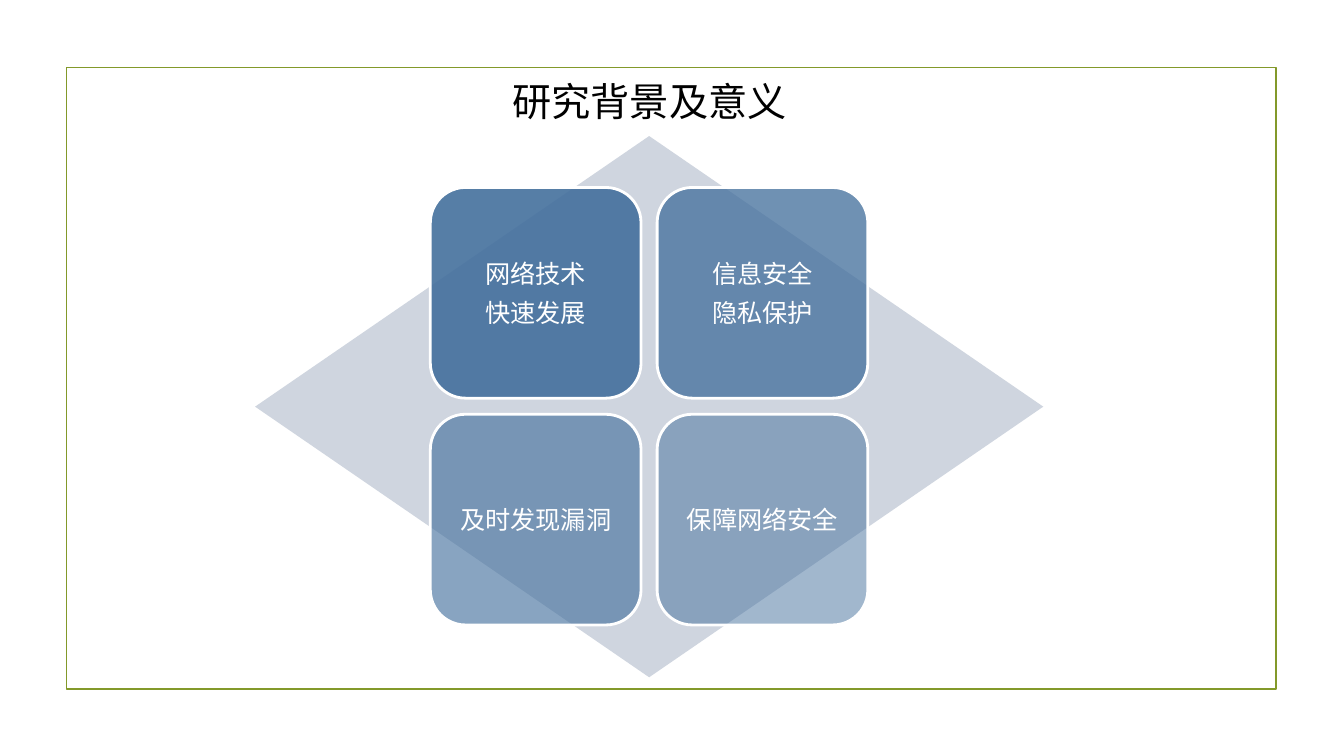
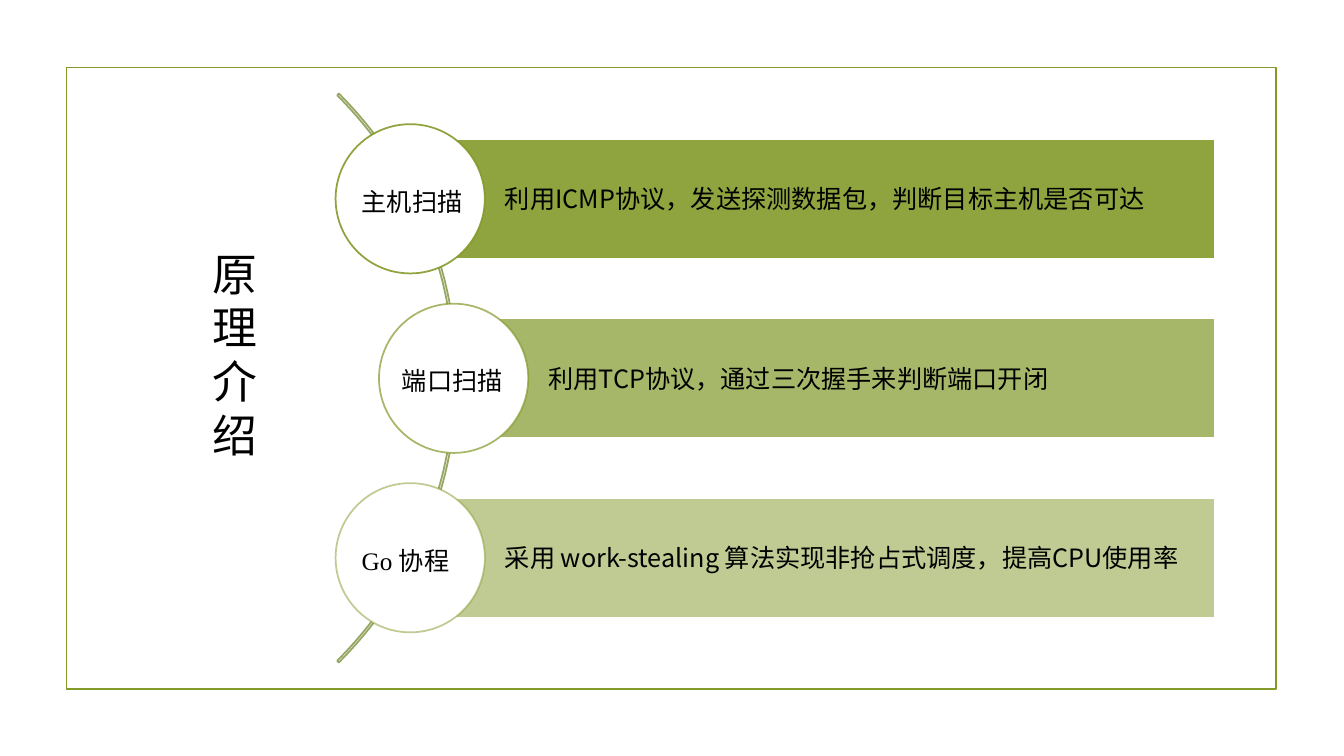
import pptx
import pptx.dml.color
import pptx.enum.shapes
import pptx.enum.text
import pptx.oxml.ns
import pptx.util
from lxml import etree

Pt = pptx.util.Pt
SHAPE = pptx.enum.shapes.MSO_SHAPE
ALIGN = pptx.enum.text.PP_ALIGN
ANCHOR = pptx.enum.text.MSO_ANCHOR
qn = pptx.oxml.ns.qn

SANS, SERIF = "Noto Sans CJK SC", "Times New Roman"
BLACK, WHITE = "000000", "FFFFFF"
OLIVE, SAGE, BLUE, MIST = "83992A", "96A763", "44709D", "CFD5DF"


def rgb(hex_code):
    return pptx.dml.color.RGBColor.from_string(hex_code)


class Deck:
    """Shared style plus the slide being built; all lengths are points."""

    def __init__(self):
        self.prs = pptx.Presentation()
        self.prs.slide_width, self.prs.slide_height = Pt(960), Pt(540)
        self.slide = None

    def new_slide(self):
        self.slide = self.prs.slides.add_slide(self.prs.slide_layouts[6])
        self.shape(SHAPE.RECTANGLE, 47.5, 48.2, 864, 444.2, line=OLIVE)

    def shape(self, preset, left, top, width, height, fill=None, line=None,
              line_width=1.25, fill_opacity=100, line_opacity=100):
        shape = self.slide.shapes.add_shape(
            preset, Pt(left), Pt(top), Pt(width), Pt(height))
        shape.shadow.inherit = False
        if fill:
            shape.fill.solid()
            shape.fill.fore_color.rgb = rgb(fill)
            self.fade(shape, "", fill_opacity)
        else:
            shape.fill.background()
        if line:
            shape.line.color.rgb = rgb(line)
            shape.line.width = Pt(line_width)
            self.fade(shape, qn("a:ln") + "/", line_opacity)
        else:
            shape.line.fill.background()
        return shape

    def fade(self, shape, parent, opacity):
        """Set the opacity, in percent, of a fill or line colour."""
        if opacity < 100:
            color = shape._element.spPr.find(
                parent + qn("a:solidFill") + "/" + qn("a:srgbClr"))
            etree.SubElement(color, qn("a:alpha"), val=str(opacity * 1000))

    def set_text(self, shape, text, size, font, color=BLACK, align=ALIGN.LEFT,
                 space_after=0, insets=(7.2, 3.6, 7.2, 3.6), anchor=ANCHOR.MIDDLE):
        frame = shape.text_frame
        frame.text = text
        frame.word_wrap = True
        frame.vertical_anchor = anchor
        (frame.margin_left, frame.margin_top,
         frame.margin_right, frame.margin_bottom) = map(Pt, insets)
        for paragraph in frame.paragraphs:
            paragraph.alignment = align
            paragraph.line_spacing = Pt(size * 1.2)
            paragraph.space_after = Pt(space_after)
            for run in paragraph.runs:
                run.font.size = Pt(size)
                run.font.color.rgb = rgb(color)
                run.font.name = font
                etree.SubElement(run._r.get_or_add_rPr(), qn("a:ea"), typeface=SANS)

    def label(self, text, left, top, width, height, size, font=SERIF, align=ALIGN.LEFT):
        box = self.slide.shapes.add_textbox(Pt(left), Pt(top), Pt(width), Pt(height))
        self.set_text(box, text, size, font, align=align, anchor=ANCHOR.TOP)


def background_slide(deck):
    deck.new_slide()
    deck.label("研究背景及意义", 350.6, 51.5, 226.8, 41, 28, SANS, ALIGN.CENTER)
    deck.shape(SHAPE.DIAMOND, 182.2, 97.2, 563, 386.6, fill=MIST)
    reasons = [("网络技术\n快速发展", 90), ("信息安全\n隐私保护", 77),
               ("及时发现漏洞", 63), ("保障网络安全", 50)]
    for index, (reason, opacity) in enumerate(reasons):
        row, column = divmod(index, 2)
        tile = deck.shape(SHAPE.ROUNDED_RECTANGLE, 307.4 + 162 * column,
                          133.9 + 162 * row, 150.5, 150.5, fill=BLUE,
                          line=WHITE, line_width=2, fill_opacity=opacity)
        deck.set_text(tile, reason, 18, SERIF, WHITE, ALIGN.CENTER,
                      space_after=6.3, insets=(5, 5, 5, 5))


def principle_slide(deck):
    deck.new_slide()
    arc = deck.shape(SHAPE.BLOCK_ARC, -248.4, -17.3, 574.6, 574.6, line=SAGE)
    for index, value in enumerate((189, 27, 0.003)):
        arc.adjustments[index] = value
    bar_height, circle_size, right_edge = 85.7, 106.6, 867.6
    steps = [
        ("主机扫描", "利用ICMP协议，发送探测数据包，判断目标主机是否可达", 293, 251.3, 90),
        ("端口扫描", "利用TCP协议，通过三次握手来判断端口开闭", 324, 280, 70),
        ("Go 协程", "采用 work-stealing 算法实现非抢占式调度，提高CPU使用率", 293, 251.3, 50),
    ]
    for index, (name, detail, left, name_left, opacity) in enumerate(steps):
        middle = 142 + 128.2 * index
        bar = deck.shape(SHAPE.RECTANGLE, left, middle - bar_height / 2,
                         right_edge - left, bar_height, fill=OLIVE,
                         line=WHITE, fill_opacity=opacity)
        deck.set_text(bar, detail, 18, SANS, space_after=6.3,
                      insets=(67.7, 3.6, 3.6, 3.6))
        deck.shape(SHAPE.OVAL, left - circle_size / 2, middle - circle_size / 2,
                   circle_size, circle_size, fill=WHITE, line=OLIVE,
                   line_opacity=opacity)
        deck.label(name, name_left, middle - 12.5, 87.8, 28.8, 18)
    deck.label("原理介绍", 144.7, 172.5, 47.5, 162.7, 32)


def main():
    deck = Deck()
    background_slide(deck)
    principle_slide(deck)
    deck.prs.save("out.pptx")


if __name__ == "__main__":
    main()
